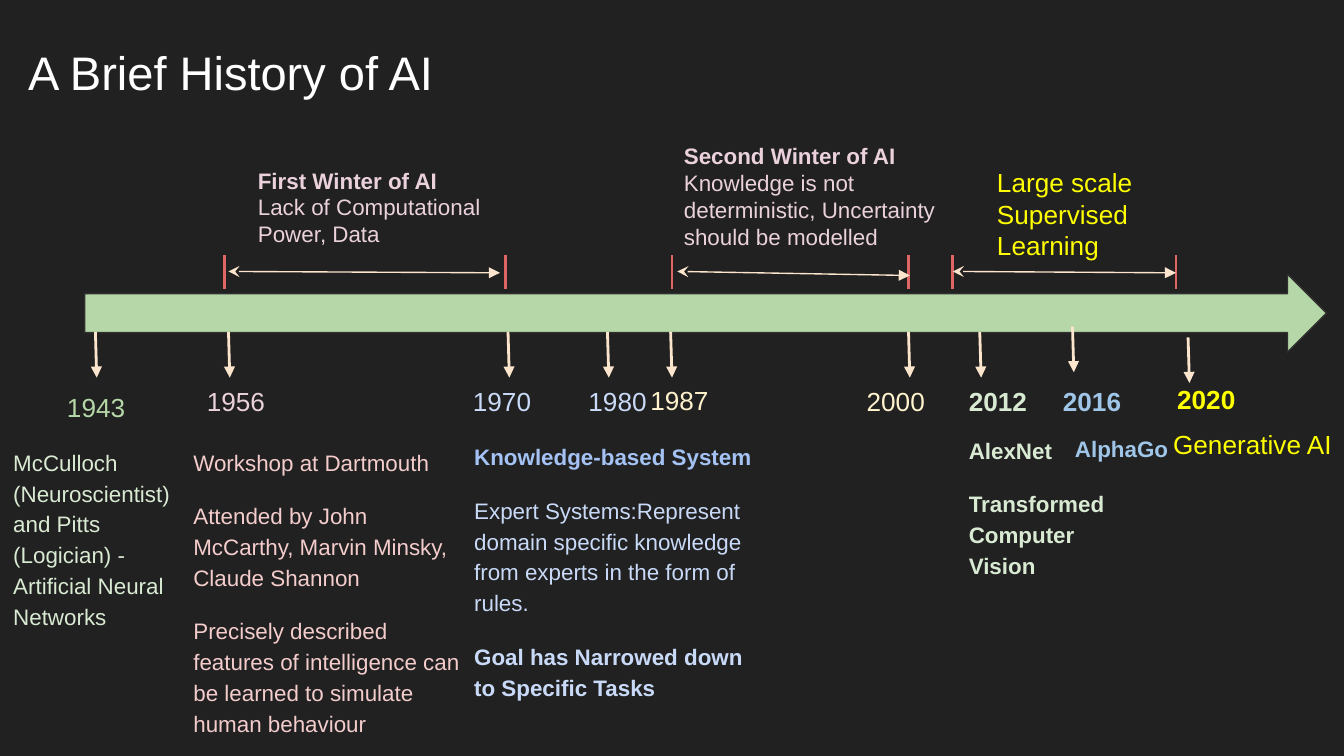
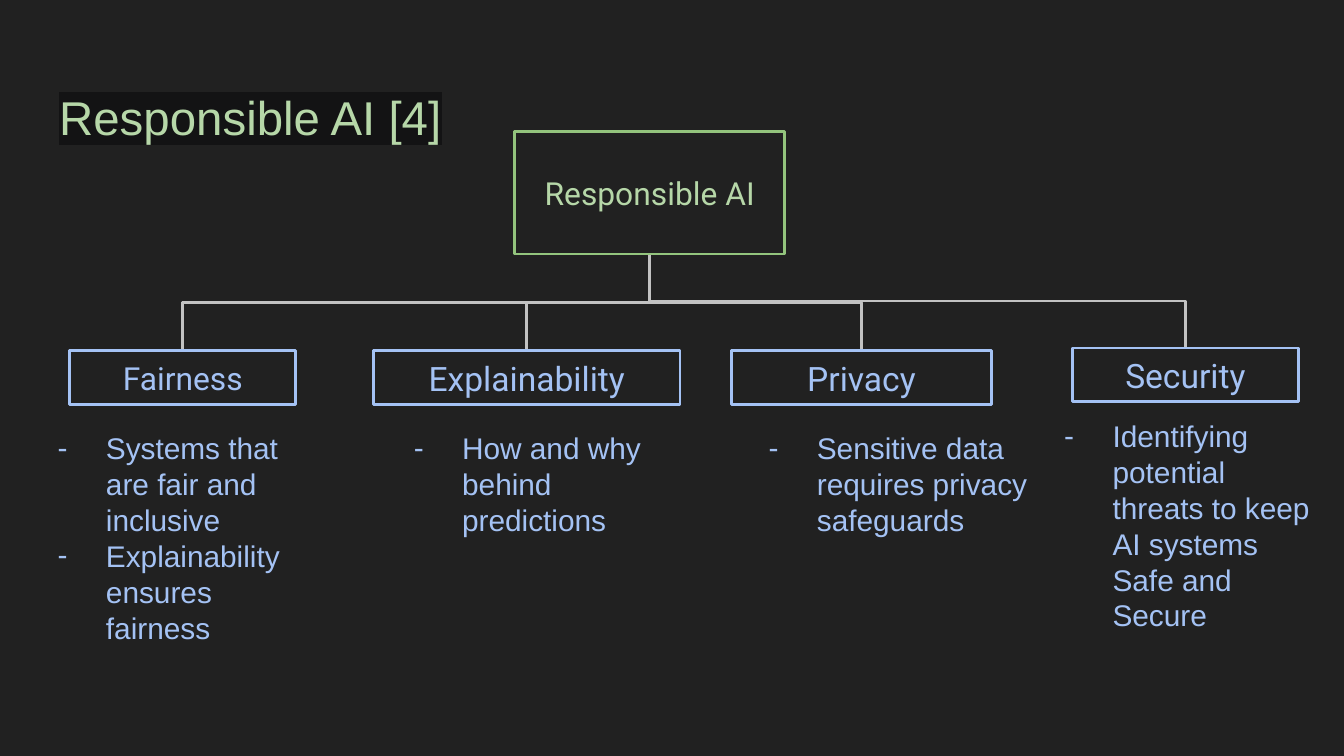
from dataclasses import dataclass
from typing import NamedTuple

from lxml.etree import SubElement
from pptx import Presentation
from pptx.dml.color import RGBColor
from pptx.enum.shapes import MSO_CONNECTOR, MSO_SHAPE
from pptx.enum.text import MSO_ANCHOR, MSO_AUTO_SIZE, PP_ALIGN
from pptx.oxml.ns import qn
from pptx.util import Inches, Pt

BACKGROUND = "212121"
CREAM = "FCE5CD"
RED = "E06666"
GREEN = "B6D7A8"
PALE_GREEN = "D9EAD3"
PINK = "EAD1DC"
ROSE = "F4CCCC"
BLUE = "A4C2F4"
PALE_BLUE = "C9DAF8"
SKY = "9FC5E8"
SAND = "FFF2CC"
YELLOW = "FFFF00"
GREY = "C2C2C2"

SLIDE_WIDTH = 10
SLIDE_HEIGHT = SLIDE_WIDTH * 9 / 16
TITLE_ONLY = 5
INSET = Inches(0.1)


class Line(NamedTuple):
    text: str
    color: str
    bold: bool = False


class Box(NamedTuple):
    left: float
    top: float
    width: float
    height: float


@dataclass
class Milestone:
    year: Line
    arrow_x: float
    label_left: float
    label_top: float = 2.77
    arrow_top: float = 2.47


@dataclass
class Era:
    start: float
    end: float
    arrow_start: float
    arrow_end: float
    box: Box
    lines: list[Line]
    size: float = 12
    drop: float = 0.01


@dataclass
class Note:
    box: Box
    lines: list[Line]
    size: float = 12
    line_spacing: float = 1.15


@dataclass
class Pillar:
    name: str
    box: Box
    size: float
    points_box: Box
    points: list[str]


MILESTONES = [
    Milestone(Line("1943", GREEN), 0.71, 0.4, label_top=2.81),
    Milestone(Line("1956", PINK), 1.7, 1.44),
    Milestone(Line("1970", PALE_BLUE), 3.78, 3.42),
    Milestone(Line("1980", PALE_BLUE), 4.52, 4.28),
    Milestone(Line("1987", SAND), 4.99, 4.74, label_top=2.76),
    Milestone(Line("2000", SAND), 6.76, 6.35),
    Milestone(Line("2012", PALE_GREEN, True), 7.29, 7.11),
    Milestone(Line("2016", SKY, True), 7.98, 7.81, arrow_top=2.43),
    Milestone(Line("2020", YELLOW, True), 8.84, 8.66, label_top=2.75, arrow_top=2.51),
]

ERAS = [
    Era(1.67, 3.76, 1.7, 3.72, Box(1.82, 1.14, 2.08, 0.76), [
        Line("First Winter of AI", PINK, True),
        Line("Lack of Computational Power, Data", PINK),
    ]),
    Era(5, 6.76, 5.04, 6.77, Box(4.99, 0.96, 2.08, 0.87), [
        Line("Second Winter of AI", PINK, True),
        Line("Knowledge is not deterministic, Uncertainty should be modelled", PINK),
    ], drop=0.03),
    Era(7.09, 8.75, 7.09, 8.75, Box(7.32, 1.14, 1.8, 0.58), [
        Line("Large scale Supervised Learning", YELLOW),
    ], size=14),
]

NOTES = [
    Note(Box(0, 3.21, 1.62, 1.57), [
        Line("McCulloch (Neuroscientist) and Pitts (Logician) - Artificial Neural Networks",
             PALE_GREEN),
    ]),
    Note(Box(1.34, 3.21, 2.19, 2.37), [
        Line("Workshop at Dartmouth", ROSE),
        Line("Attended by John McCarthy, Marvin Minsky, Claude Shannon", ROSE),
        Line("Precisely described features of intelligence can be learned to simulate "
             "human behaviour", ROSE),
    ]),
    Note(Box(3.43, 3.17, 2.37, 2.45), [
        Line("Knowledge-based System", BLUE, True),
        Line("Expert Systems:Represent domain specific knowledge from experts in the "
             "form of rules.", PALE_BLUE),
        Line("Goal has Narrowed down to Specific Tasks", PALE_BLUE, True),
    ]),
    Note(Box(7.11, 3.12, 1.32, 1.67), [
        Line("AlexNet", PALE_GREEN, True),
        Line("Transformed Computer Vision", PALE_GREEN, True),
    ]),
    Note(Box(7.9, 3.11, 1.32, 0.8), [Line("AlphaGo", SKY, True)]),
    Note(Box(8.63, 3.09, 1.41, 1.06), [Line("Generative AI", YELLOW)], 14, 1),
]

PILLARS = [
    Pillar("Fairness", Box(0.52, 2.61, 1.68, 0.4), 17, Box(0.19, 3.1, 2.28, 1.82),
           ["Systems that are fair and inclusive", "Explainability ensures fairness"]),
    Pillar("Explainability", Box(2.78, 2.61, 2.28, 0.4), 18, Box(2.84, 3.1, 2.28, 1.28),
           ["How and why behind predictions"]),
    Pillar("Privacy", Box(5.44, 2.61, 1.94, 0.4), 18, Box(5.48, 3.1, 2.28, 1.01),
           ["Sensitive data requires privacy safeguards"]),
    Pillar("Security", Box(7.98, 2.59, 1.68, 0.4), 18, Box(7.68, 3.01, 2.25, 1.82),
           ["Identifying potential threats to keep AI systems Safe and Secure"]),
]


def rgb(color: str) -> RGBColor:
    return RGBColor.from_string(color)


def place(box: Box) -> list:
    return [Inches(value) for value in box]


def set_frame(frame, anchor=MSO_ANCHOR.TOP) -> None:
    frame.word_wrap = True
    frame.auto_size = MSO_AUTO_SIZE.NONE
    frame.vertical_anchor = anchor
    frame.margin_left = frame.margin_right = INSET
    frame.margin_top = frame.margin_bottom = INSET


def set_font(paragraph, size: float, color: str, bold: bool = False,
             name: str = "Arial") -> None:
    font = paragraph.font
    font.name, font.size, font.bold = name, Pt(size), bold
    font.color.rgb = rgb(color)


def add_bullet(paragraph, size: float, color: str) -> None:
    properties = paragraph._p.get_or_add_pPr()
    properties.set("marL", str(Inches(0.5)))
    properties.set("indent", str(Inches(-0.36)))
    bullet_color = SubElement(properties, qn("a:buClr"))
    SubElement(bullet_color, qn("a:srgbClr"), val=color)
    SubElement(properties, qn("a:buSzPts"), val=str(int(size * 100)))
    SubElement(properties, qn("a:buFont"), typeface="Arial")
    SubElement(properties, qn("a:buChar"), char="-")


def add_text(slide, box: Box, lines: list[Line], size: float, line_spacing: float = 1,
             gap: float = 0, bulleted: bool = False) -> None:
    frame = slide.shapes.add_textbox(*place(box)).text_frame
    set_frame(frame)
    for index, line in enumerate(lines):
        paragraph = frame.add_paragraph() if index else frame.paragraphs[0]
        paragraph.text = line.text
        paragraph.line_spacing = line_spacing
        if index and gap:
            paragraph.space_before = Pt(gap)
        if bulleted:
            add_bullet(paragraph, size, line.color)
        set_font(paragraph, size, line.color, line.bold)


def add_titled_slide(presentation, text: str, box: Box, size: float, color: str):
    slide = presentation.slides.add_slide(presentation.slide_layouts[TITLE_ONLY])
    title = slide.shapes.title
    title.left, title.top, title.width, title.height = place(box)
    set_frame(title.text_frame)
    paragraph = title.text_frame.paragraphs[0]
    paragraph.text = text
    paragraph.alignment = PP_ALIGN.LEFT
    set_font(paragraph, size, color)
    return slide


def add_line(slide, start: tuple, end: tuple, color: str, width: float = 1.5,
             head: str = "", tail: str = "", kind=MSO_CONNECTOR.STRAIGHT):
    points = [Inches(value) for value in (*start, *end)]
    connector = slide.shapes.add_connector(kind, *points)
    connector.line.color.rgb = rgb(color)
    connector.line.width = Pt(width)
    outline = connector.line._get_or_add_ln()
    for tag, arrow in (("a:headEnd", head), ("a:tailEnd", tail)):
        if arrow:
            SubElement(outline, qn(tag), type=arrow)
    SubElement(connector._element.spPr, qn("a:effectLst"))
    return connector


def add_branch(slide, parent: Box, child: Box) -> None:
    """Draw an elbow that leaves the parent downwards and enters the child's top."""
    start_x, start_y = parent.left + parent.width / 2, parent.top + parent.height
    end_x, end_y = child.left + child.width / 2, child.top
    connector = add_line(slide, (start_x, start_y), (end_x, end_y), GREY,
                         kind=MSO_CONNECTOR.ELBOW)
    fall, reach = end_y - start_y, abs(end_x - start_x)
    connector.left = Inches((start_x + end_x - fall) / 2)
    connector.top = Inches((start_y + end_y - reach) / 2)
    connector.width, connector.height = Inches(fall), Inches(reach)
    turn = connector._element.spPr.find(qn("a:xfrm"))
    turn.attrib.pop("flipH", None)
    turn.set("rot", "5400000")
    if end_x > start_x:
        turn.set("rot", "16200000")
        turn.set("flipH", "1")


def add_node(slide, box: Box, text: str, size: float, line_color: str,
             text_color: str) -> None:
    shape = slide.shapes.add_shape(MSO_SHAPE.RECTANGLE, *place(box))
    shape.shadow.inherit = False
    shape.fill.background()
    shape.line.color.rgb = rgb(line_color)
    shape.line.width = Pt(1.5)
    set_frame(shape.text_frame, MSO_ANCHOR.MIDDLE)
    paragraph = shape.text_frame.paragraphs[0]
    paragraph.text = text
    paragraph.alignment = PP_ALIGN.CENTER
    set_font(paragraph, size, text_color, name="Roboto")


def build_history(presentation) -> None:
    slide = add_titled_slide(presentation, "A Brief History of AI",
                             Box(0.11, 0.22, 3.74, 0.63), 25.2, "FFFFFF")
    timeline = slide.shapes.add_shape(MSO_SHAPE.RIGHT_ARROW,
                                      *place(Box(0.63, 2.04, 9.24, 0.58)))
    timeline.shadow.inherit = False
    timeline.fill.solid()
    timeline.fill.fore_color.rgb = rgb(GREEN)
    timeline.line.color.rgb = rgb("303030")
    timeline.line.width = Pt(0.75)

    for milestone in MILESTONES:
        x, y = milestone.arrow_x, milestone.arrow_top
        add_line(slide, (x, y), (x + 0.01, y + 0.34), CREAM, tail="triangle")
        add_text(slide, Box(milestone.label_left, milestone.label_top, 0.82, 0.28),
                 [milestone.year], 14)
    for era in ERAS:
        for x in (era.start, era.end):
            add_line(slide, (x, 1.9), (x, 2.15), RED)
        add_line(slide, (era.arrow_start, 2.02), (era.arrow_end, 2.02 + era.drop),
                 CREAM, 0.75, head="stealth", tail="triangle")
        add_text(slide, era.box, era.lines, era.size)
    for note in NOTES:
        add_text(slide, note.box, note.lines, note.size, note.line_spacing, gap=12)


def build_responsible_ai(presentation) -> None:
    slide = add_titled_slide(presentation, "Responsible AI [4]",
                             Box(0.34, 0.49, 9.32, 0.63), 25.4, GREEN)
    paragraph = slide.shapes.title.text_frame.paragraphs[0]
    paragraph.line_spacing = 1.15
    highlight = SubElement(paragraph.runs[0]._r.get_or_add_rPr(), qn("a:highlight"))
    SubElement(highlight, qn("a:srgbClr"), val="131314")

    root = Box(3.83, 0.98, 2.01, 0.91)
    for pillar in PILLARS:
        add_branch(slide, root, pillar.box)
    add_node(slide, root, "Responsible AI", 17, "93C47D", GREEN)
    for pillar in PILLARS:
        add_node(slide, pillar.box, pillar.name, pillar.size, BLUE, BLUE)
        add_text(slide, pillar.points_box, [Line(point, BLUE) for point in pillar.points],
                 16, bulleted=True)


def main() -> None:
    presentation = Presentation()
    presentation.slide_width = Inches(SLIDE_WIDTH)
    presentation.slide_height = Inches(SLIDE_HEIGHT)
    background = presentation.slide_master.background.fill
    background.solid()
    background.fore_color.rgb = rgb(BACKGROUND)
    build_history(presentation)
    build_responsible_ai(presentation)
    presentation.save("out.pptx")


if __name__ == "__main__":
    main()
